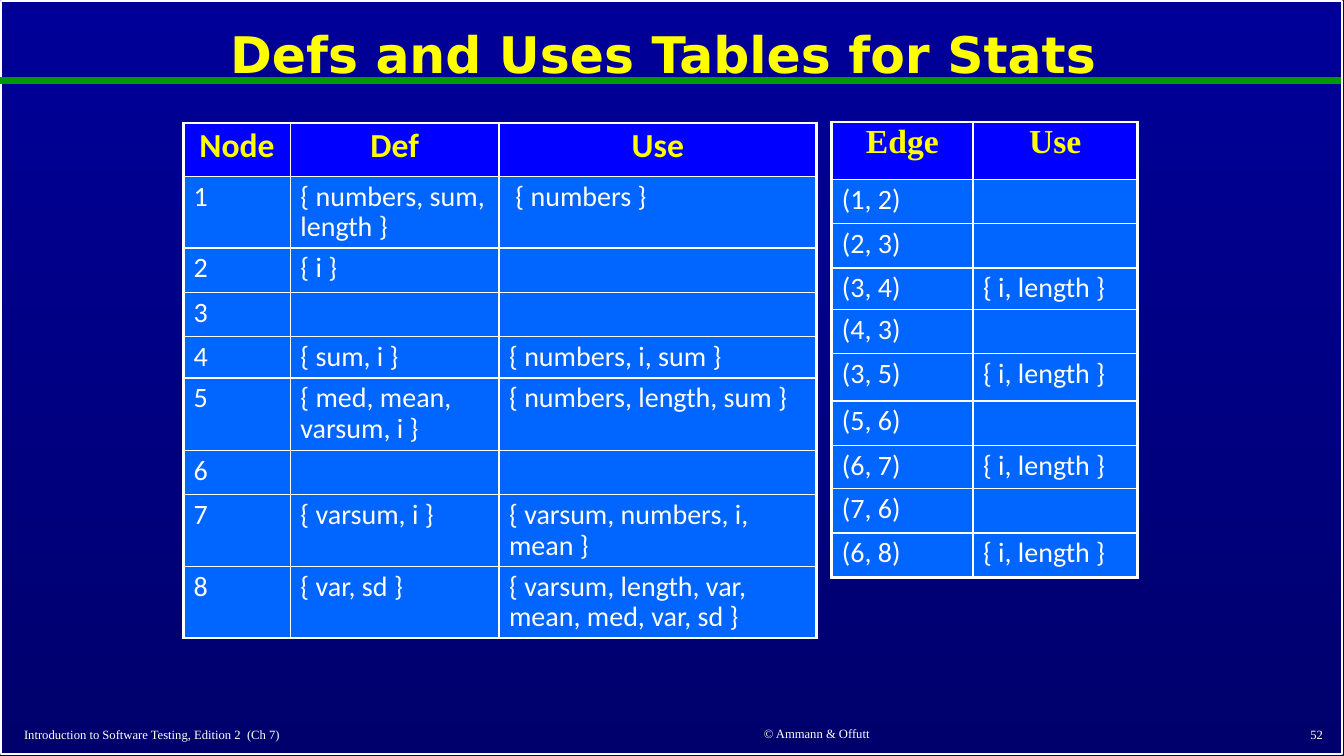
from lxml import etree
from pptx import Presentation
from pptx import util as u
from pptx.dml import color
from pptx.enum import shapes, text
from pptx.oxml import ns

COLORS = {
    "top": "000099", "bottom": "00006D", "rule": "009900", "white": "FFFFFF",
    "yellow": "FFFF00", "header": "0000FF", "body": "0066FF",
}
ALIGN = text.PP_ALIGN


def rgb(name):
    return color.RGBColor.from_string(COLORS[name])


class SlideBuilder:
    serif, sans, title_face = "Times New Roman", "Calibri", "DejaVu Sans"

    def __init__(self, deck):
        self.page = deck.slides.add_slide(deck.slide_layouts[5])

    def background(self):
        fill = self.page.background.fill
        fill.gradient()
        fill.gradient_angle = 270
        for stop, position, name in zip(fill.gradient_stops, (0, 1), ("top", "bottom")):
            stop.position = position
            stop.color.rgb = rgb(name)

    def frame(self, *place):
        box = self.page.shapes.add_shape(shapes.MSO_SHAPE.RECTANGLE, *map(u.Inches, place))
        box.shadow.inherit = False
        box.fill.background()
        box.line.color.rgb = rgb("white")
        box.line.width = u.Pt(1)

    def rule(self, *ends):
        line = self.page.shapes.add_connector(shapes.MSO_CONNECTOR.STRAIGHT, *map(u.Inches, ends))
        line.line.color.rgb = rgb("rule")
        line.line.width = u.Pt(4.5)
        etree.SubElement(line._element.spPr, ns.qn("a:effectLst"))

    def style(self, para, face, size, name, align=ALIGN.LEFT, bold=False):
        para.alignment = align
        para.font.name = face
        para.font.size = u.Pt(size)
        para.font.bold = bold
        para.font.color.rgb = rgb(name)

    def title(self, words, *place):
        box = self.page.shapes.title
        box.left, box.top, box.width, box.height = map(u.Inches, place)
        frame = box.text_frame
        frame.text = words
        frame.auto_size = text.MSO_AUTO_SIZE.NONE
        frame.vertical_anchor = text.MSO_ANCHOR.MIDDLE
        para = frame.paragraphs[0]
        para.line_spacing = 0.9
        self.style(para, self.title_face, 36, "yellow", ALIGN.CENTER, True)

    def footer(self, words, align, *place):
        frame = self.page.shapes.add_textbox(*map(u.Inches, place)).text_frame
        frame.word_wrap = True
        frame.vertical_anchor = text.MSO_ANCHOR.MIDDLE
        frame.text = words
        self.style(frame.paragraphs[0], self.serif, 9, "white", align)

    def borders(self, cell, thick_sides):
        properties = cell._tc.get_or_add_tcPr()
        for side in "LRTB":
            width = u.Pt(2.25 if side in thick_sides else 1)
            line = etree.SubElement(properties, ns.qn(f"a:ln{side}"), w=str(width))
            fill = etree.SubElement(line, ns.qn("a:solidFill"))
            etree.SubElement(fill, ns.qn("a:srgbClr"), val=COLORS["white"])

    def table(self, left, top, widths, heights, rows, header_face):
        place = map(u.Inches, (left, top, sum(widths), sum(heights)))
        table = self.page.shapes.add_table(len(rows), len(widths), *place).table
        table.horz_banding = False
        for column, width in zip(table.columns, widths):
            column.width = u.Inches(width)
        for row, height in zip(table.rows, heights):
            row.height = u.Inches(height)
        for r, row in enumerate(rows):
            for c, words in enumerate(row):
                cell = table.cell(r, c)
                edges = {"T": r == 0, "B": r == len(rows) - 1,
                         "L": c == 0, "R": c == len(widths) - 1}
                self.borders(cell, [side for side, outer in edges.items() if outer])
                cell.fill.solid()
                cell.fill.fore_color.rgb = rgb("body" if r else "header")
                if not words:
                    continue
                cell.text = words
                para = cell.text_frame.paragraphs[0]
                para.line_spacing = 0.9
                if r:
                    self.style(para, self.sans, 20, "white")
                else:
                    self.style(para, header_face, 24, "yellow", ALIGN.CENTER, True)


def main():
    deck = Presentation()
    deck.slide_width, deck.slide_height = u.Inches(13.33), u.Inches(7.5)
    slide = SlideBuilder(deck)

    # Backdrop
    slide.background()
    slide.frame(0.01, 0.01, 13.3, 7.47)
    slide.rule(0, 0.8, 13.3, 0.8)

    # Footer and title
    slide.footer("Introduction to Software Testing, Edition 2  (Ch 7)", ALIGN.LEFT,
                 0.14, 7.16, 5.48, 0.26)
    slide.footer("© Ammann & Offutt", ALIGN.CENTER, 5.99, 7.15, 4.22, 0.26)
    slide.footer("52", ALIGN.RIGHT, 10.44, 7.15, 2.78, 0.27)
    slide.title("Defs and Uses Tables for Stats ", 0.1, 0.11, 13.13, 0.92)

    # Defs and uses by node
    nodes = [
        ("Node", "Def", "Use"),
        ("1", "{ numbers, sum, length }", " { numbers }"),
        ("2", "{ i }", ""),
        ("3", "", ""),
        ("4", "{ sum, i }", "{ numbers, i, sum }"),
        ("5", "{ med, mean, varsum, i }", "{ numbers, length, sum }"),
        ("6", "", ""),
        ("7", "{ varsum, i }", "{ varsum, numbers, i, mean }"),
        ("8", "{ var, sd }", "{ varsum, length, var, mean, med, var, sd }"),
    ]
    slide.table(1.82, 1.22, (1.06, 2.07, 3.15),
                (0.53, 0.71, 0.44, 0.44, 0.41, 0.72, 0.44, 0.71, 0.71), nodes, slide.sans)

    # Uses by edge
    test = "{ i, length }"
    edges = [
        ("Edge", "Use"), ("(1, 2)", ""), ("(2, 3)", ""), ("(3, 4)", test), ("(4, 3)", ""),
        ("(3, 5)", test), ("(5, 6)", ""), ("(6, 7)", test), ("(7, 6)", ""), ("(6, 8)", test),
    ]
    slide.table(8.25, 1.21, (1.4, 1.63),
                (0.57, 0.44, 0.44, 0.41, 0.44, 0.47, 0.44, 0.43, 0.44, 0.44), edges, slide.serif)

    deck.save("out.pptx")


if __name__ == "__main__":
    main()
